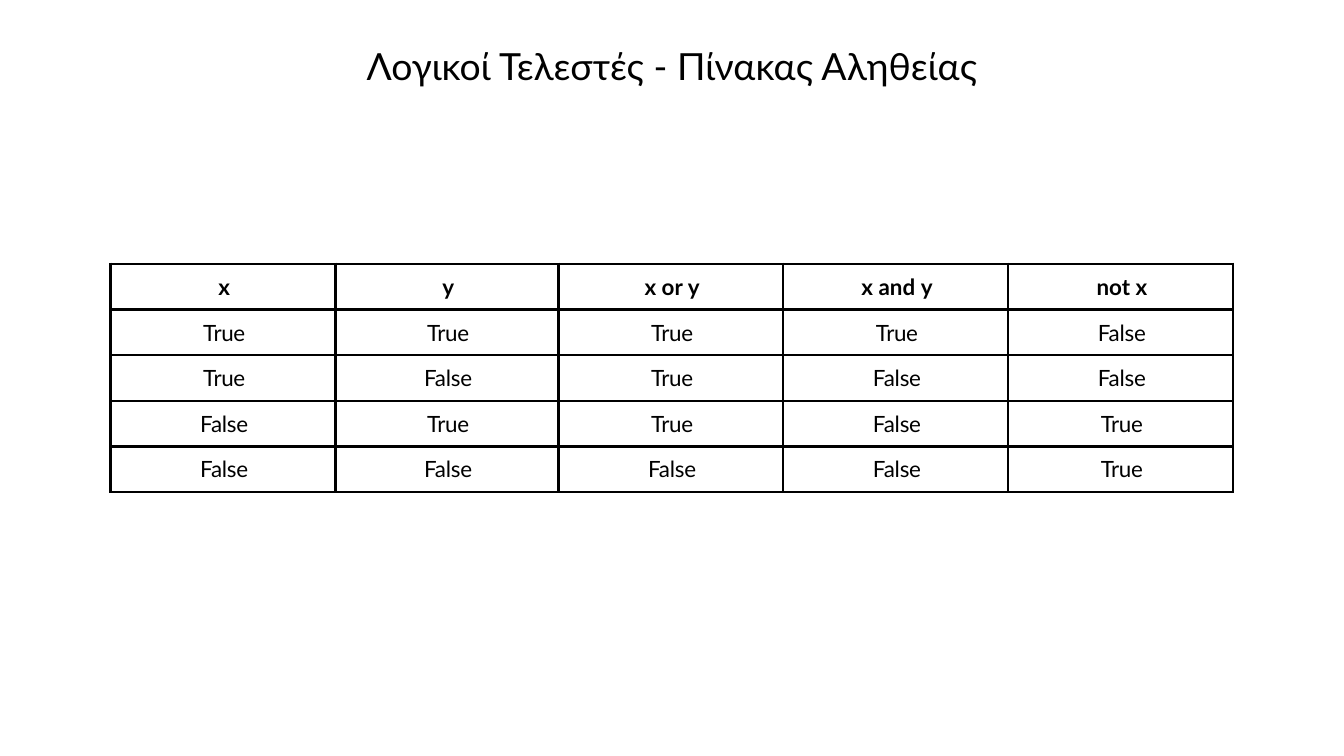
import dataclasses

import lxml.etree
import pptx
import pptx.dml.color
import pptx.enum.text
import pptx.oxml.ns
import pptx.util


@dataclasses.dataclass(frozen=True)
class Theme:
    font: str = "Lato"
    ink: str = "000000"
    title_size: float = 20
    table_size: float = 12
    border_width: float = 1.5


@dataclasses.dataclass(frozen=True)
class Box:
    left: float
    top: float
    width: float
    height: float

    def lengths(self) -> tuple:
        return tuple(pptx.util.Pt(value) for value in dataclasses.astuple(self))


@dataclasses.dataclass(frozen=True)
class Piece:
    text: str
    spacing: float


@dataclasses.dataclass(frozen=True)
class CellContent:
    pieces: tuple[Piece, ...]
    bold: bool = False


THEME = Theme()
TITLE = "Λογικοί Τελεστές - Πίνακας Αληθείας"
TITLE_BOX = Box(75, 23, 570, 24.5)
COLUMN_WIDTHS = (120.5, 119.5, 120.5, 120.5, 120.5)
ROW_HEIGHT = 24.45
TABLE_LEFT, TABLE_TOP = 59.2, 141.4
HEADINGS = (("", "x"), ("", "y"), ("x or ", "y"), ("x and ", "y"), ("not ", "x"))
OPERANDS = ((True, True), (True, False), (False, True), (False, False))


def heading_cell(lead: str, variable: str) -> CellContent:
    pieces = (Piece(lead, 0), Piece(variable, -0.5))
    return CellContent(tuple(piece for piece in pieces if piece.text), bold=True)


def truth_cell(value: bool) -> CellContent:
    return CellContent((Piece(str(value), -0.2 if value else -0.1),))


def truth_rows() -> list[list[CellContent]]:
    rows = [[heading_cell(*heading) for heading in HEADINGS]]
    for x, y in OPERANDS:
        rows.append([truth_cell(value) for value in (x, y, x or y, x and y, not x)])
    return rows


def style_paragraph(paragraph, size: float, bold: bool = False) -> None:
    paragraph.alignment = pptx.enum.text.PP_ALIGN.CENTER
    paragraph.font.name = THEME.font
    paragraph.font.size = pptx.util.Pt(size)
    paragraph.font.bold = bold
    paragraph.font.color.rgb = pptx.dml.color.RGBColor.from_string(THEME.ink)


def add_title(slide) -> None:
    frame = slide.shapes.add_textbox(*TITLE_BOX.lengths()).text_frame
    frame.word_wrap = True
    frame.margin_left = frame.margin_top = frame.margin_right = frame.margin_bottom = 0
    paragraph = frame.paragraphs[0]
    paragraph.add_run().text = TITLE
    style_paragraph(paragraph, THEME.title_size)


def add_borders(cell) -> None:
    properties = cell._tc.get_or_add_tcPr()
    qualified = pptx.oxml.ns.qn
    for position, side in enumerate(("lnL", "lnR", "lnT", "lnB")):
        line = lxml.etree.Element(qualified(f"a:{side}"))
        line.set("w", str(int(pptx.util.Pt(THEME.border_width))))
        fill = lxml.etree.SubElement(line, qualified("a:solidFill"))
        lxml.etree.SubElement(fill, qualified("a:srgbClr")).set("val", THEME.ink)
        properties.insert(position, line)


def fill_cell(cell, content: CellContent) -> None:
    cell.margin_left = cell.margin_right = cell.margin_bottom = 0
    cell.margin_top = pptx.util.Pt(5)
    cell.fill.background()
    add_borders(cell)
    paragraph = cell.text_frame.paragraphs[0]
    for piece in content.pieces:
        run = paragraph.add_run()
        run.text = piece.text
        run._r.get_or_add_rPr().set("spc", str(round(piece.spacing * 100)))
    style_paragraph(paragraph, THEME.table_size, content.bold)
    paragraph.space_before = pptx.util.Pt(7.1)
    paragraph_properties = paragraph._p.get_or_add_pPr()
    paragraph_properties.set("marL", str(int(pptx.util.Pt(1.4))))
    paragraph_properties.set("indent", "0")


def add_truth_table(slide) -> None:
    rows = truth_rows()
    box = Box(TABLE_LEFT, TABLE_TOP, sum(COLUMN_WIDTHS), ROW_HEIGHT * len(rows))
    table = slide.shapes.add_table(len(rows), len(COLUMN_WIDTHS), *box.lengths()).table
    table.first_row = table.horz_banding = False
    for column, width in zip(table.columns, COLUMN_WIDTHS):
        column.width = pptx.util.Pt(width)
    for row, contents in zip(table.rows, rows):
        row.height = pptx.util.Pt(ROW_HEIGHT)
        for cell, content in zip(row.cells, contents):
            fill_cell(cell, content)


def main() -> None:
    presentation = pptx.Presentation()
    presentation.slide_width = pptx.util.Pt(720)
    presentation.slide_height = pptx.util.Pt(405)
    slide = presentation.slides.add_slide(presentation.slide_layouts[6])
    add_title(slide)
    add_truth_table(slide)
    presentation.save("out.pptx")


if __name__ == "__main__":
    main()
